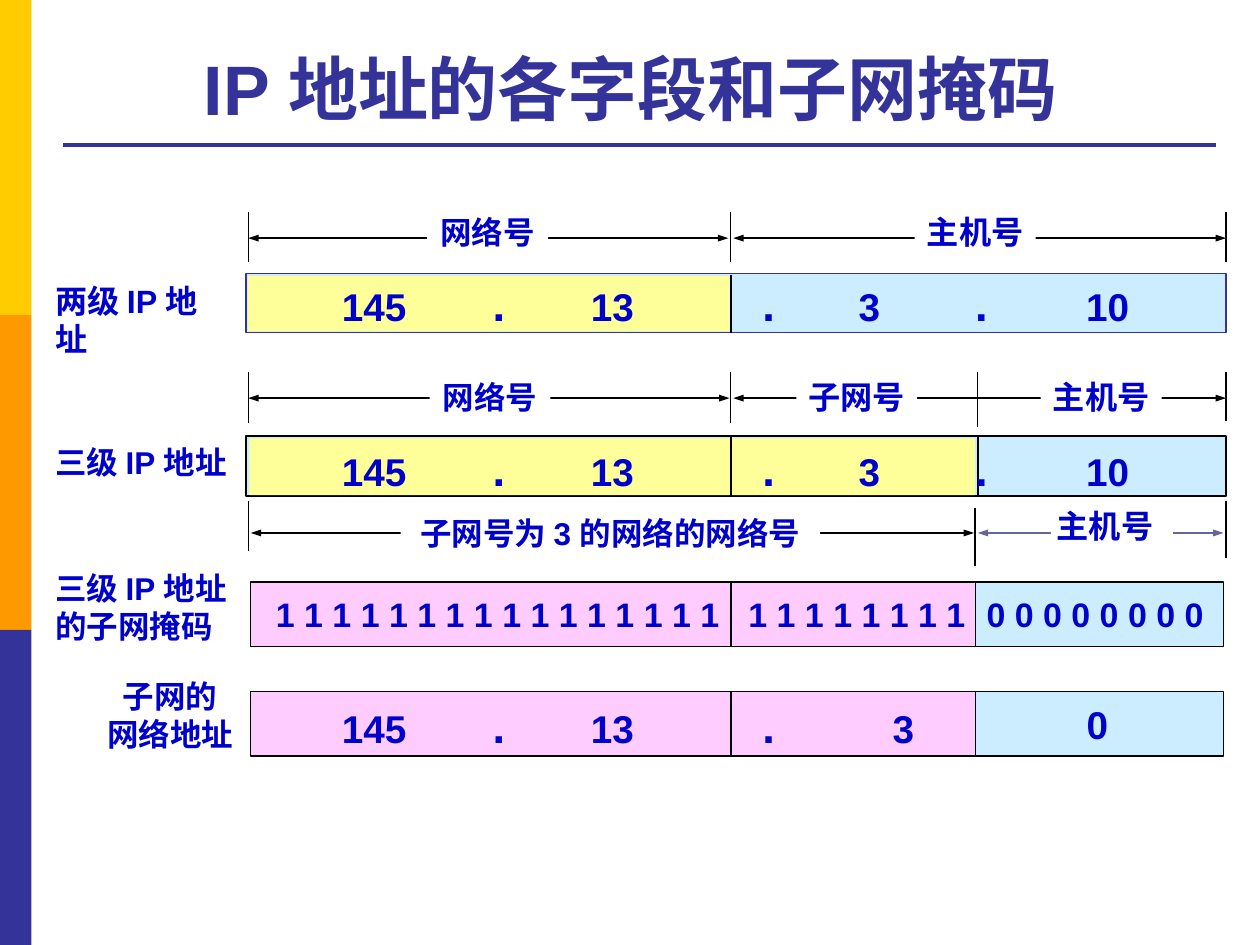
from lxml.etree import SubElement
from pptx import Presentation
from pptx.dml.color import RGBColor
from pptx.enum.shapes import MSO_CONNECTOR, MSO_SHAPE
from pptx.enum.text import MSO_ANCHOR, PP_ALIGN
from pptx.oxml.ns import qn
from pptx.util import Inches, Pt

NAVY, BLUE, BLACK, WHITE = "333399", "0000CC", "000000", "FFFFFF"
YELLOW, SKY, PINK = "FFFF99", "CCECFF", "FFCCFF"
LEFT, MIDDLE, SUBNET, RIGHT = 1.97, 5.8, 7.74, 9.73
OCTETS = [("145", 2.97), (".", 3.96), ("13", 4.86), (".", 6.1)]
HOST_OCTETS = [("3", 6.9), (".", 7.79), ("10", 8.79)]


def color(value):
    return RGBColor.from_string(value)


def add_box(slide, left, top, width, height, fill, line=None, line_width=1):
    shape = slide.shapes.add_shape(MSO_SHAPE.RECTANGLE, Inches(left), Inches(top),
                                   Inches(width), Inches(height))
    shape.shadow.inherit = False
    shape.fill.solid()
    shape.fill.fore_color.rgb = color(fill)
    if line:
        shape.line.color.rgb = color(line)
        shape.line.width = Pt(line_width)
    else:
        shape.line.fill.background()
    return shape


def add_line(slide, start, end, line=BLACK, width=1, arrows=False):
    connector = slide.shapes.add_connector(
        MSO_CONNECTOR.STRAIGHT, *(Inches(value) for value in (*start, *end)))
    connector.line.color.rgb = color(line)
    connector.line.width = Pt(width)
    if arrows:
        outline = connector.line._get_or_add_ln()
        for tag in ("a:headEnd", "a:tailEnd"):
            SubElement(outline, qn(tag), type="triangle", w="sm", len="med")
    SubElement(connector._element.spPr, qn("a:effectLst"))


def write(shape, text, size, align=PP_ALIGN.CENTER, anchor=MSO_ANCHOR.MIDDLE,
          wrap=False, font_color=BLUE):
    frame = shape.text_frame
    frame.text = text
    frame.word_wrap = wrap
    frame.vertical_anchor = anchor
    frame.margin_left = frame.margin_right = Inches(0.09)
    frame.margin_top = frame.margin_bottom = Inches(0.04)
    for paragraph in frame.paragraphs:
        paragraph.alignment = align
        for run in paragraph.runs:
            run.font.name = "Arial"
            run.font.size = Pt(size)
            run.font.bold = True
            run.font.color.rgb = color(font_color)


def add_text(slide, left, top, width, height, text, size, **style):
    box = slide.shapes.add_textbox(Inches(left), Inches(top), Inches(width), Inches(height))
    write(box, text, size, **style)


def add_frame(slide):
    """Side stripes, title and the rule under it."""
    for index, fill in enumerate(("FFCC00", "FF9900", NAVY)):
        add_box(slide, 0, 2.5 * index, 0.25, 2.5, fill)
    add_line(slide, (0.5, 1.15), (9.65, 1.15), NAVY, 2.25)
    add_text(slide, 0.43, 0.2, 9.15, 0.87, "IP 地址的各字段和子网掩码", 40,
             anchor=MSO_ANCHOR.BOTTOM, font_color=NAVY)


def add_row_label(slide, top, text, size=18):
    add_text(slide, 0.35, top, 1.55, 0.4, text, size, align=PP_ALIGN.LEFT,
             anchor=MSO_ANCHOR.TOP, wrap=True)


def add_spans(slide, top, arrow_offset, label_offset, ticks, arrows, labels):
    """Dimension row: ticks (x, offset, height, width), arrows (from, to, colour),
    labels (text, left, width, size)."""
    for x, offset, height, width in ticks:
        add_line(slide, (x, top + offset), (x, top + offset + height), width=width)
    for start, end, line in arrows:
        y = top + arrow_offset
        add_line(slide, (start, y), (end, y), line, arrows=True)
    for text, left, width, size in labels:
        box = add_box(slide, left, top + label_offset, width, 0.4, WHITE)
        write(box, text, size)


def add_address_bar(slide, top, height, yellow_left, yellow_right, line, dividers):
    add_box(slide, 1.95, top, 7.78, height, SKY, line)
    add_box(slide, yellow_left, top + 0.02, yellow_right - yellow_left, height - 0.03, YELLOW)
    for x in dividers:
        add_line(slide, (x, top + 0.01), (x, top + height))


def add_mask_bar(slide, top, height=0.51):
    add_box(slide, SUBNET, top, 1.97, height, SKY, BLACK, 0.75)
    add_box(slide, 1.99, top, SUBNET - 1.99, height, PINK, BLACK, 0.75)
    add_line(slide, (MIDDLE, top), (MIDDLE, top + height))


def add_octets(slide, center, octets):
    """Address parts centred at their own x; dots are larger on the same baseline."""
    for text, x in octets:
        size, y = (25.9, center - 0.02) if text == "." else (22.1, center)
        add_text(slide, x - 0.4, y - 0.25, 0.8, 0.5, text, size)


def add_bits(slide, left, top, width, bit, count):
    add_text(slide, left, top, width, 0.42, " ".join(bit * count), 19.4, align=PP_ALIGN.LEFT)


def add_two_level(slide, top):
    add_spans(slide, top, 0.21, -0.04,
              [(x, 0, 0.4, 0.75) for x in (LEFT, MIDDLE, RIGHT)],
              [(LEFT, 5.78, BLACK), (5.82, RIGHT, BLACK)],
              [("网络号", 3.39, 0.96, 18), ("主机号", 7.26, 0.96, 18.4)])
    add_address_bar(slide, top + 0.49, 0.47, LEFT, 5.79, NAVY, [MIDDLE])
    add_octets(slide, top + 0.75, OCTETS + HOST_OCTETS)
    add_row_label(slide, top + 0.51, "两级 IP 地址", 18.4)


def add_three_level(slide, top):
    add_spans(slide, top, 0.21, 0,
              [(LEFT, 0, 0.41, 0.75), (MIDDLE, 0, 0.41, 0.75),
               (7.76, 0, 0.44, 0.75), (RIGHT, 0, 0.39, 0.75)],
              [(LEFT, 5.79, BLACK), (5.82, RIGHT, BLACK)],
              [("网络号", 3.41, 0.96, 18), ("子网号", 6.32, 0.96, 18.4),
               ("主机号", 8.26, 0.96, 18.4)])
    add_address_bar(slide, top + 0.51, 0.48, 1.98, SUBNET, BLACK, [MIDDLE, 7.76])
    add_octets(slide, top + 0.79, OCTETS + HOST_OCTETS)
    add_row_label(slide, top + 0.53, "三级 IP 地址")


def add_mask(slide, top):
    add_spans(slide, top, 0.25, 0.05,
              [(LEFT, 0, 0.39, 0.75), (SUBNET, 0.05, 0.46, 1), (RIGHT, 0, 0.45, 1)],
              [(1.99, 7.73, BLACK), (7.76, 9.71, "666699")],
              [("子网号为 3 的网络的网络号", 3.18, 3.33, 18)])
    add_box(slide, 8.34, top + 0.14, 0.97, 0.29, WHITE)
    add_text(slide, 8.29, top - 0.01, 0.96, 0.4, "主机号", 18.4)
    add_mask_bar(slide, top + 0.64)
    for left, width, bit, count in ((2.1, 4.0, "1", 16), (5.85, 2.2, "1", 8),
                                    (SUBNET, 2.2, "0", 8)):
        add_bits(slide, left, top + 0.68, width, bit, count)
    add_row_label(slide, top + 0.5, "三级 IP 地址\n的子网掩码")


def add_subnet_address(slide, top):
    add_mask_bar(slide, top)
    add_octets(slide, top + 0.29, OCTETS + [("3", 7.17)])
    add_octets(slide, top + 0.26, [("0", 8.71)])
    add_text(slide, 0.74, top - 0.17, 1.22, 0.71, "子网的\n网络地址", 18)


def main():
    presentation = Presentation()
    presentation.slide_width, presentation.slide_height = Inches(10), Inches(7.5)
    slide = presentation.slides.add_slide(presentation.slide_layouts[6])
    add_frame(slide)
    add_two_level(slide, 1.68)
    add_three_level(slide, 2.95)
    add_mask(slide, 3.98)
    add_subnet_address(slide, 5.49)
    presentation.save("out.pptx")


if __name__ == "__main__":
    main()
